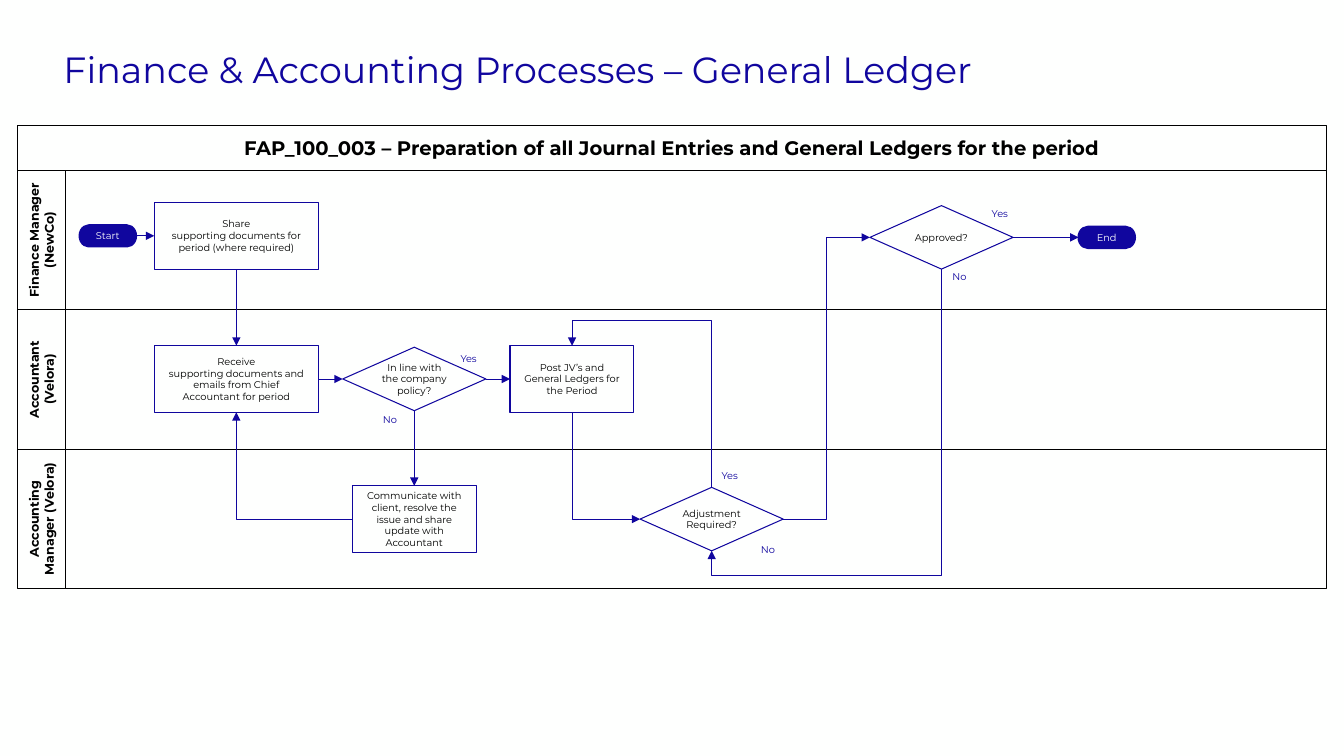
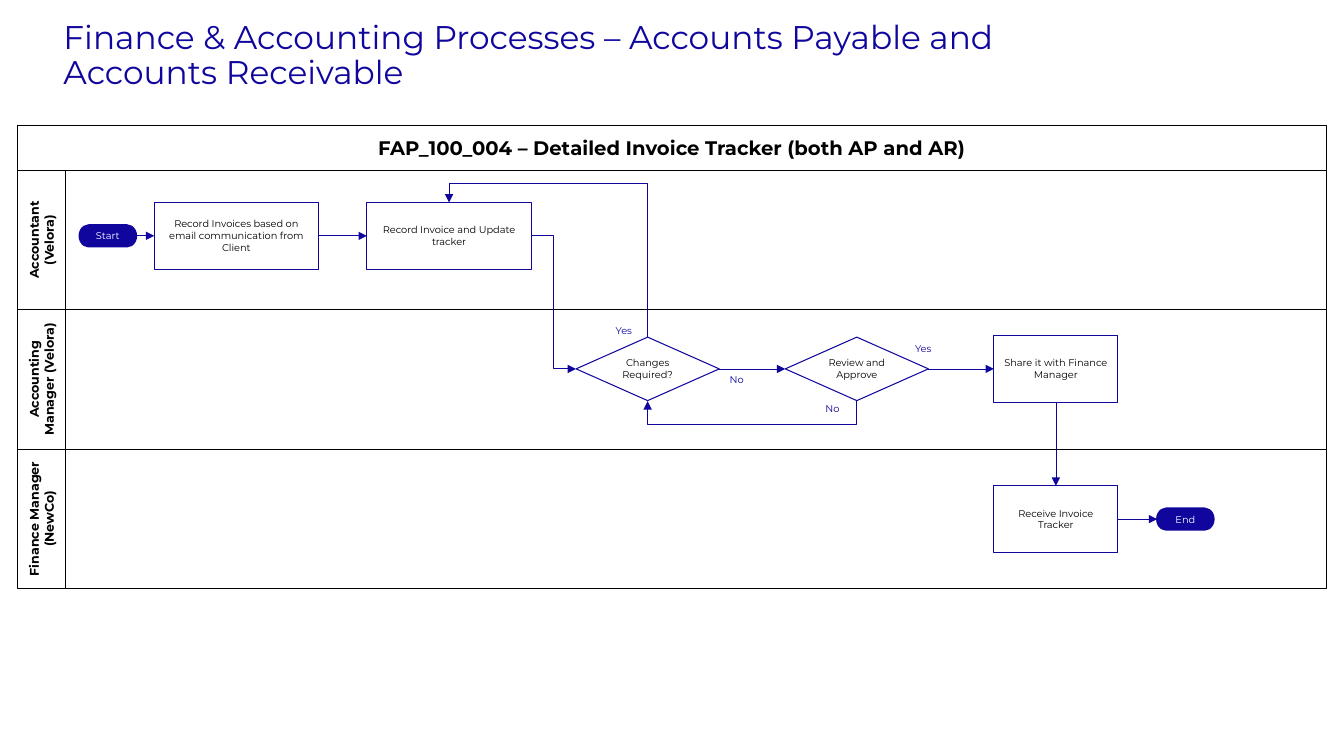
from lxml import etree
from pptx import Presentation
from pptx.dml.color import RGBColor
from pptx.enum.shapes import MSO_CONNECTOR as LINE, MSO_SHAPE as SHAPE
from pptx.enum.text import MSO_ANCHOR as ANCHOR, MSO_AUTO_SIZE as FIT, PP_ALIGN as ALIGN
from pptx.oxml.ns import qn
from pptx.util import Emu, Pt

COLORS = {"ink": "000000", "paper": "FEFFFE", "brand": "10069E"}
FONT = "Montserrat"
COLS, ROWS = 133.33, 75  # square grid cells over the slide
CELL = 91440

# Flowchart kinds: preset, columns, rows, fill, line width, text colour, side inset
KINDS = {
    "wide": (SHAPE.FLOWCHART_PROCESS, 16.3, 6.6, "paper", 0.75, "ink", 1),
    "step": (SHAPE.FLOWCHART_PROCESS, 12.3, 6.6, "paper", 0.75, "ink", 1),
    "choice": (SHAPE.FLOWCHART_DECISION, 14.2, 6.3, "paper", 0.75, "ink", 0),
    "end": (SHAPE.FLOWCHART_TERMINATOR, 5.6, 2.1, "brand", 1.5, "paper", 1),
}
TOP, BOTTOM, LEFT, RIGHT = 0, 2, 1, 3

# Swimlane frame
FRAME_X, FRAME_W, LABEL_W = 1.7, 129.9, 4.8
HEAD_Y, HEAD_H, LANE_H = 12.4, 4.5, 13.83


def grid(n):
    return Emu(round(n * CELL))


def rgb(name):
    return RGBColor.from_string(COLORS[name])


def assign(obj, **values):
    for name, value in values.items():
        setattr(obj, name, value)


class Deck:
    def __init__(self):
        self.prs = Presentation()
        assign(self.prs, slide_width=grid(COLS), slide_height=grid(ROWS))
        self.s = None

    def slide(self, title, size):
        self.s = self.prs.slides.add_slide(self.prs.slide_layouts[5])
        fill = self.s.background.fill
        fill.solid()
        fill.fore_color.rgb = rgb("paper")
        sp = self.s.shapes.title
        assign(sp, left=grid(5.3), top=grid(4.1), width=grid(102.3), height=grid(5.5))
        self.text(sp, title, size, "brand", align=ALIGN.LEFT, anchor=ANCHOR.BOTTOM)
        sp.text_frame.paragraphs[0].line_spacing = 0.9

    def text(self, sp, text, size, color, bold=False, align=ALIGN.CENTER,
             anchor=ANCHOR.MIDDLE, inset=(1, 0.5), fit=FIT.NONE):
        tf = sp.text_frame
        tf.text = text
        side, edge = map(grid, inset)
        assign(tf, word_wrap=True, auto_size=fit, vertical_anchor=anchor,
               margin_left=side, margin_right=side, margin_top=edge, margin_bottom=edge)
        for p in tf.paragraphs:
            p.alignment = align
            assign(p.font, name=FONT, size=Pt(size), bold=bold)
            p.font.color.rgb = rgb(color)

    def shape(self, preset, x, y, w, h, fill, line, width):
        sp = self.s.shapes.add_shape(preset, *map(grid, (x, y, w, h)))
        sp.shadow.inherit = False
        sp.fill.solid()
        sp.fill.fore_color.rgb = rgb(fill)
        sp.line.color.rgb = rgb(line)
        sp.line.width = Pt(width)
        return sp

    def frame_box(self, x, y, w, h, text="", size=9, vertical=False):
        sp = self.shape(SHAPE.RECTANGLE, x, y, w, h, "paper", "ink", 0.45)
        if text:
            self.text(sp, text, size, "ink", bold=True, inset=(0.3, 0.1))
        if vertical:
            sp.text_frame._txBody.bodyPr.set("vert", "vert270")

    def swimlanes(self, heading, roles):
        self.frame_box(FRAME_X, HEAD_Y, FRAME_W, HEAD_H, heading, 14)
        for i, role in enumerate(roles):
            y = HEAD_Y + HEAD_H + i * LANE_H
            self.frame_box(FRAME_X + LABEL_W, y, FRAME_W - LABEL_W, LANE_H)
            self.frame_box(FRAME_X, y, LABEL_W, LANE_H, role, vertical=True)

    def node(self, kind, cx, cy, text):
        """Flowchart shape centred on a grid point."""
        preset, w, h, fill, width, color, side = KINDS[kind]
        sp = self.shape(preset, cx - w / 2, cy - h / 2, w, h, fill, "brand", width)
        self.text(sp, text, 7, color, inset=(side, 0.5))
        return sp

    def label(self, x, y, text):
        sp = self.s.shapes.add_textbox(*map(grid, (x, y, 4.5, 2.2)))
        self.text(sp, text, 7, "brand", align=ALIGN.LEFT, anchor=ANCHOR.TOP,
                  fit=FIT.SHAPE_TO_FIT_TEXT)

    def arrow(self, a, side_a, b, side_b, kind=LINE.STRAIGHT, width=0.5):
        c = self.s.shapes.add_connector(kind, 0, 0, 0, 0)
        c.begin_connect(a, side_a)
        c.end_connect(b, side_b)
        c.line.color.rgb = rgb("brand")
        c.line.width = Pt(width)
        etree.SubElement(c.line._get_or_add_ln(), qn("a:tailEnd"), type="triangle")
        etree.SubElement(c._element.spPr, qn("a:effectLst"))
        return c

    def elbow(self, a, side_a, b, side_b, bend=None):
        """Bent arrow; bend is the column or row of its middle segment."""
        c = self.arrow(a, side_a, b, side_b, LINE.ELBOW, 0.75)
        x, y = c.begin_x, c.begin_y
        dx, dy = c.end_x - x, c.end_y - y
        upright = side_a in (TOP, BOTTOM)
        start, run = (y, dy) if upright else (x, dx)
        run = run or grid(0.1)
        w, h = abs(run), abs(dx if upright else dy)
        assign(c, left=Emu(x + (dx - w) // 2), top=Emu(y + (dy - h) // 2),
               width=Emu(w), height=Emu(h))

        # An upright start is a quarter turn of the preset
        if upright:
            turn, flip_h, flip_v = (90 if run > 0 else 270), False, (dx > 0) == (run > 0)
        else:
            turn, flip_h, flip_v = 0, dx < 0, dy < 0
        xfrm = c._element.spPr.find(qn("a:xfrm"))
        for name, value in (("rot", turn * 60000), ("flipH", int(flip_h)),
                            ("flipV", int(flip_v))):
            xfrm.set(name, str(value))

        geom = c._element.spPr.find(qn("a:prstGeom"))
        if side_a % 2 != side_b % 2:
            geom.set("prst", "bentConnector2")
        elif bend is not None:
            share = round((grid(bend) - start) / run * 100000)
            etree.SubElement(geom.find(qn("a:avLst")), qn("a:gd"),
                             name="adj1", fmla=f"val {share}")


def general_ledger(d):
    d.slide("Finance & Accounting Processes – General Ledger", 26)
    d.swimlanes("FAP_100_003 – Preparation of all Journal Entries and General Ledgers for the period",
                ["Finance Manager\n(NewCo)", "Accountant\n(Velora)",
                 "Accounting Manager (Velora)"])
    # Steps
    start = d.node("end", 10.7, 23.4, "Start")
    share = d.node("wide", 23.45, 23.4,
                   "Share\nsupporting documents for period (where required)")
    approved = d.node("choice", 93.4, 23.55, "Approved?")
    end = d.node("end", 109.8, 23.55, "End")
    receive = d.node("wide", 23.45, 37.6, "Receive\nsupporting documents and emails "
                     "from Chief Accountant for period")
    policy = d.node("choice", 41.1, 37.6, "In line with the company policy?")
    post = d.node("step", 56.75, 37.6, "Post JV’s and General Ledgers for the Period")
    inform = d.node("step", 41.1, 51.5, "Communicate with client, resolve the issue "
                    "and share update with Accountant")
    adjust = d.node("choice", 70.6, 51.5, "Adjustment Required?")
    # Answers
    for x, y, text in [(44.7, 34.5, "Yes"), (37, 40.5, "No"), (70.6, 46.1, "Yes"),
                       (74.5, 53.4, "No"), (97.4, 20.1, "Yes"), (93.5, 26.4, "No")]:
        d.label(x, y, text)
    # Flow
    for a, b in [(start, share), (receive, policy), (policy, post), (approved, end)]:
        d.arrow(a, RIGHT, b, LEFT)
    for a, b in [(share, receive), (policy, inform)]:
        d.arrow(a, BOTTOM, b, TOP)
    d.elbow(inform, LEFT, receive, BOTTOM)
    d.elbow(post, BOTTOM, adjust, LEFT)
    d.elbow(adjust, TOP, post, TOP, bend=31.8)
    d.elbow(adjust, RIGHT, approved, LEFT, bend=82)
    d.elbow(approved, BOTTOM, adjust, BOTTOM, bend=57.1)


def payable_receivable(d):
    d.slide("Finance & Accounting Processes – Accounts Payable and Accounts Receivable", 23.4)
    d.swimlanes("FAP_100_004 – Detailed Invoice Tracker (both AP and AR)",
                ["Accountant\n(Velora)", "Accounting Manager (Velora)",
                 "Finance Manager\n(NewCo)"])
    # Steps
    start = d.node("end", 10.7, 23.4, "Start")
    record = d.node("wide", 23.45, 23.4,
                    "Record Invoices based on email communication from Client")
    update = d.node("wide", 44.55, 23.4, "Record Invoice and Update tracker")
    changes = d.node("choice", 64.25, 36.6, "Changes Required?")
    review = d.node("choice", 85, 36.6, "Review and Approve")
    share = d.node("step", 104.75, 36.6, "Share it with Finance Manager")
    receive = d.node("step", 104.75, 51.5, "Receive Invoice Tracker")
    end = d.node("end", 117.6, 51.5, "End")
    # Answers
    for x, y, text in [(60.1, 31.7, "Yes"), (71.4, 36.6, "No"),
                       (80.9, 39.5, "No"), (89.8, 33.5, "Yes")]:
        d.label(x, y, text)
    # Flow
    for a, b in [(start, record), (record, update), (changes, review),
                 (review, share), (receive, end)]:
        d.arrow(a, RIGHT, b, LEFT)
    d.arrow(share, BOTTOM, receive, TOP)
    d.elbow(update, RIGHT, changes, LEFT, bend=54.9)
    d.elbow(changes, TOP, update, TOP, bend=18.2)
    d.elbow(review, BOTTOM, changes, BOTTOM, bend=42.2)


def main():
    d = Deck()
    general_ledger(d)
    payable_receivable(d)
    d.prs.save("out.pptx")


if __name__ == "__main__":
    main()
